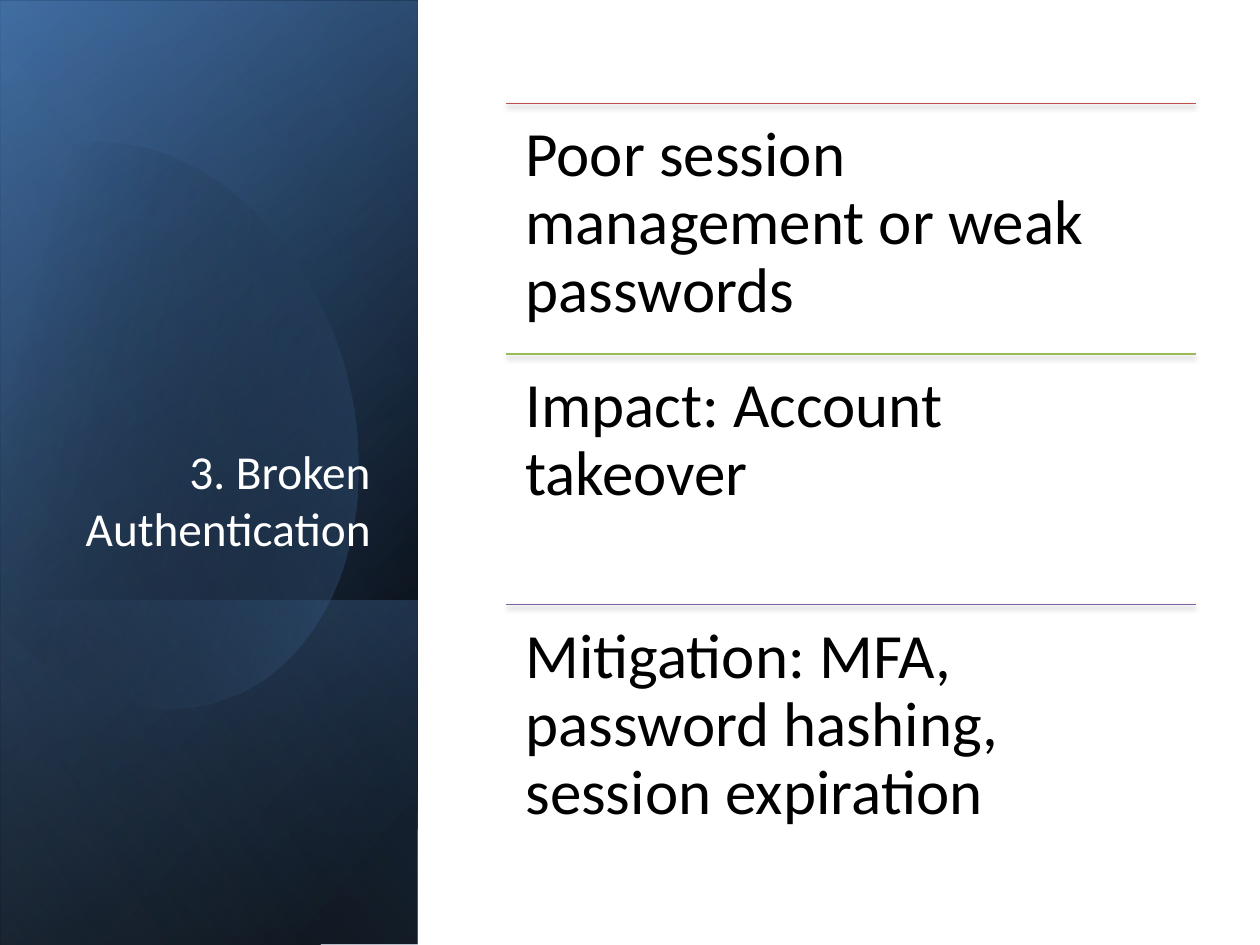
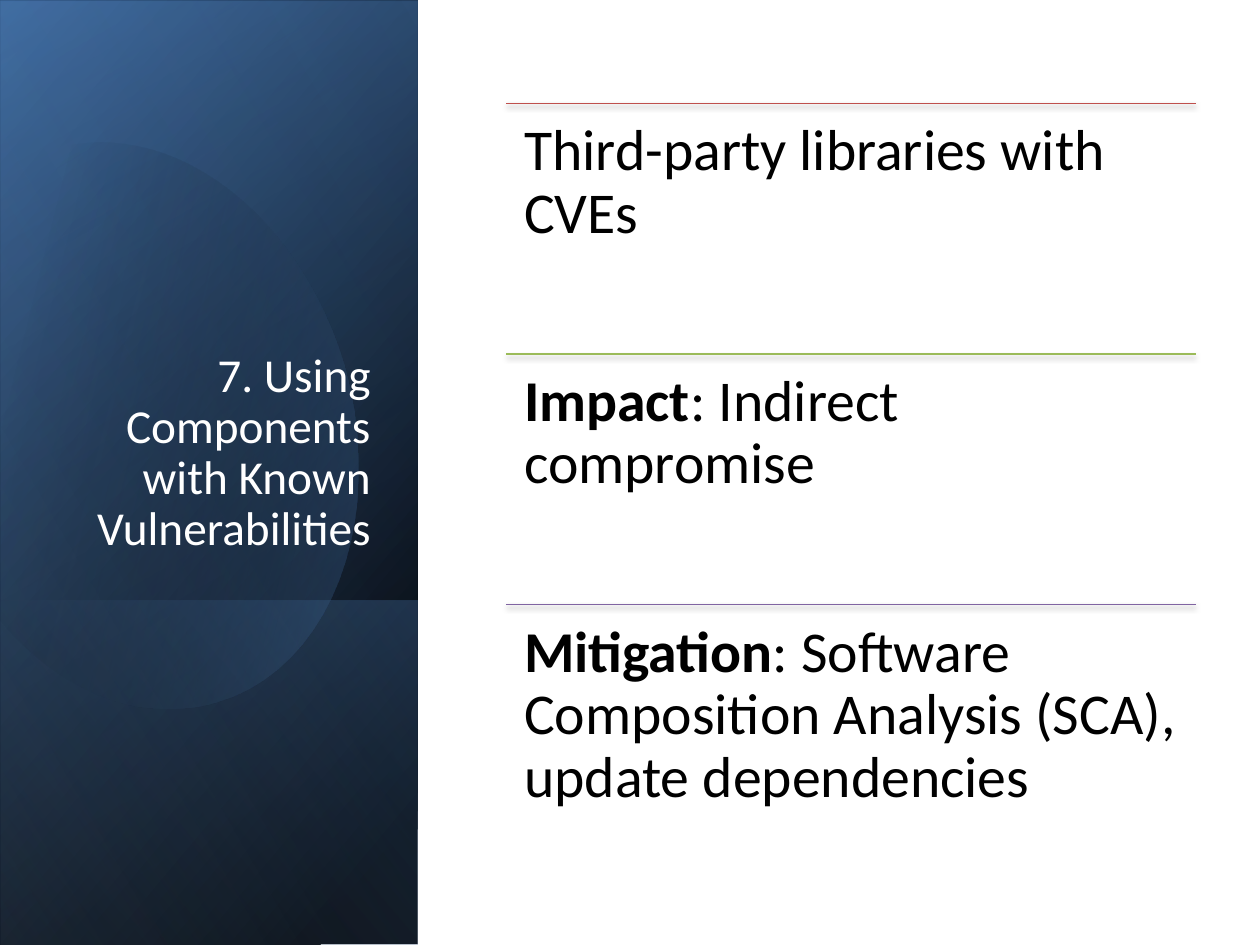
from math import cos, radians, sin

from lxml import etree
from pptx import Presentation
from pptx.dml.color import RGBColor
from pptx.enum.shapes import MSO_CONNECTOR, MSO_SHAPE
from pptx.enum.text import MSO_ANCHOR, PP_ALIGN
from pptx.oxml.ns import qn
from pptx.util import Inches, Pt

RECT = MSO_SHAPE.RECTANGLE
STRAIGHT = MSO_CONNECTOR.STRAIGHT
TOP, BOTTOM = MSO_ANCHOR.TOP, MSO_ANCHOR.BOTTOM
LEFT, RIGHT = PP_ALIGN.LEFT, PP_ALIGN.RIGHT

FONT = "Calibri"
BLACK = RGBColor(0x00, 0x00, 0x00)
WHITE = RGBColor(0xFF, 0xFF, 0xFF)
NAVY = RGBColor(0x36, 0x60, 0x92)
BLUE = RGBColor(0x4F, 0x81, 0xBD)
PALE_BLUE = RGBColor(0x93, 0xB3, 0xD7)
RED = RGBColor(0xBF, 0x50, 0x4D)
GREEN = RGBColor(0x9B, 0xBB, 0x59)
PURPLE = RGBColor(0x80, 0x64, 0xA2)
RULE_COLORS = (RED, GREEN, PURPLE)

ROW_LEFT, ROW_TOP, ROW_WIDTH, ROW_HEIGHT = 4.02, 0.82, 5.47, 1.99

# Side panel layers: box, gradient stops (position %, colour, opacity %), angle
PANEL_BASE = ((-2.09, 2.09, 7.5, 3.31),
              ((0, BLACK, 100), (8, BLACK, 100), (100, NAVY, 100)), 50)
PANEL_GLOW = ((-2.09, 2.11, 7.5, 3.31),
              ((0, BLACK, 0), (99, BLUE, 46), (100, BLUE, 46)), 30)
PANEL_FOOT = ((0.29, 4.48, 2.74, 3.31),
              ((0, BLUE, 29), (2, BLUE, 29), (100, BLACK, 30)), 130)
PANEL_SHEEN = ((-2.09, 2.09, 7.5, 3.31),
               ((0, BLACK, 0), (99, PALE_BLUE, 11), (100, PALE_BLUE, 11)), 120)

# Oval outline as it lies on the slide: each part is one end point or a curve
OVAL_START = (0.96, 1.14)
OVAL_PARTS = (
    ((1.71, 1.22), (2.44, 1.92), (2.73, 2.9)),
    ((3.07, 4.12), (2.62, 5.31), (1.71, 5.57)),
    ((1.14, 5.74), (0.53, 5.5), (0.07, 5)),
    ((-0.03, 4.88),),
    ((-0.25, 1.66),),
    ((-0.15, 1.54),),
    ((0.02, 1.37), (0.22, 1.25), (0.45, 1.18)),
    ((0.62, 1.13), (0.79, 1.12), (0.96, 1.14)),
)
OVAL_CENTER = (1.19, 3.345)
OVAL_ROTATION = 343.9
OVAL_STOPS = ((0, BLACK, 0), (29, BLACK, 0), (100, BLUE, 43))
CURVE_STEPS = 20


def set_gradient(sp, stops, angle):
    sp.fill.background()
    spPr = sp._element.spPr
    grad = etree.Element(qn("a:gradFill"), rotWithShape="1")
    gs_list = etree.SubElement(grad, qn("a:gsLst"))
    for pos, color, opacity in stops:
        gs = etree.SubElement(gs_list, qn("a:gs"), pos=str(pos * 1000))
        clr = etree.SubElement(gs, qn("a:srgbClr"), val=str(color))
        if opacity < 100:
            etree.SubElement(clr, qn("a:alpha"), val=str(opacity * 1000))
    etree.SubElement(grad, qn("a:lin"), ang=str(angle * 60000), scaled="0")
    spPr.replace(spPr.find(qn("a:noFill")), grad)
    sp.line.fill.background()
    sp.shadow.inherit = False


def add_panel_layer(slide, box, stops, angle):
    """Add a gradient rectangle, mirrored and turned upright."""
    sp = slide.shapes.add_shape(RECT, *map(Inches, box))
    sp.rotation = 90
    sp._element.spPr.find(qn("a:xfrm")).set("flipH", "1")
    set_gradient(sp, stops, angle)


def curve_points(p0, p1, p2, p3):
    for step in range(1, CURVE_STEPS + 1):
        t = step / CURVE_STEPS
        u = 1 - t
        yield tuple(u**3 * a + 3 * u * u * t * b + 3 * u * t * t * c + t**3 * d
                    for a, b, c, d in zip(p0, p1, p2, p3))


def unrotate(point):
    """Turn an oval point back, so that the shape's rotation restores it."""
    cx, cy = OVAL_CENTER
    dx, dy = point[0] - cx, point[1] - cy
    a = radians(-OVAL_ROTATION)
    return (Inches(cx + dx * cos(a) - dy * sin(a)),
            Inches(cy + dx * sin(a) + dy * cos(a)))


def add_oval(slide):
    points = [OVAL_START]
    for part in OVAL_PARTS:
        points.extend(part if len(part) == 1 else curve_points(points[-1], *part))
    start, *rest = map(unrotate, points)
    builder = slide.shapes.build_freeform(*start)
    builder.add_line_segments(rest, close=True)
    sp = builder.convert_to_shape()
    sp.rotation = OVAL_ROTATION
    set_gradient(sp, OVAL_STOPS, 30)


def add_text(slide, text, box, *, size, color=BLACK, lead="", align=LEFT,
             anchor=TOP, margins=(0.1, 0.05), spacing=None):
    """Add a text box; lead is a bold opening before the text."""
    tf = slide.shapes.add_textbox(*map(Inches, box)).text_frame
    tf.word_wrap = True
    tf.vertical_anchor = anchor
    tf.margin_left = tf.margin_right = Inches(margins[0])
    tf.margin_top = tf.margin_bottom = Inches(margins[1])
    p = tf.paragraphs[0]
    p.alignment = align
    p.line_spacing = spacing
    for part, bold in ((lead, True), (text, False)):
        if part:
            r = p.add_run()
            r.text = part
            r.font.name = FONT
            r.font.size = Pt(size)
            r.font.bold = bold
            r.font.color.rgb = color


def add_rule(slide, top, color):
    """Add a horizontal line with a soft shadow below it."""
    y = Inches(top)
    line = slide.shapes.add_connector(
        STRAIGHT, Inches(ROW_LEFT), y, Inches(ROW_LEFT + ROW_WIDTH), y)
    line.line.color.rgb = color
    line.line.width = Pt(0.75)
    effects = etree.SubElement(line._element.spPr, qn("a:effectLst"))
    shadow = etree.SubElement(
        effects, qn("a:outerShdw"), blurRad=str(Pt(3.1)), dist=str(Pt(1.8)),
        dir="5400000", rotWithShape="0")
    clr = etree.SubElement(shadow, qn("a:srgbClr"), val=str(BLACK))
    etree.SubElement(clr, qn("a:alpha"), val="35000")


def add_rows(slide, rows, size, margin):
    for i, ((lead, text), color) in enumerate(zip(rows, RULE_COLORS)):
        top = ROW_TOP + i * ROW_HEIGHT
        add_rule(slide, top, color)
        add_text(slide, text, (ROW_LEFT, top, ROW_WIDTH, ROW_HEIGHT), lead=lead,
                 size=size, margins=(margin, margin), spacing=0.9)


def add_topic_slide(prs, title, rows, *, size, margin, title_spacing=None):
    slide = prs.slides.add_slide(prs.slide_layouts[6])
    for layer in (PANEL_BASE, PANEL_GLOW, PANEL_FOOT):
        add_panel_layer(slide, *layer)
    add_oval(slide)
    add_panel_layer(slide, *PANEL_SHEEN)
    add_text(slide, title, (0.48, 1.84, 2.56, 2.62), size=27, color=WHITE,
             align=RIGHT, anchor=BOTTOM, spacing=title_spacing)
    add_rows(slide, rows, size, margin)


def main():
    prs = Presentation()
    prs.slide_width, prs.slide_height = Inches(10), Inches(7.5)
    add_topic_slide(prs, "3. Broken Authentication", (
        ("", "Poor session management or weak passwords"),
        ("", "Impact: Account takeover"),
        ("", "Mitigation: MFA, password hashing, session expiration"),
    ), size=36, margin=0.15)
    add_topic_slide(prs, "7. Using Components with Known Vulnerabilities", (
        ("", "Third-party libraries with CVEs"),
        ("Impact", ": Indirect compromise"),
        ("Mitigation", ": Software Composition Analysis (SCA), update dependencies"),
    ), size=33, margin=0.14, title_spacing=0.9)
    prs.save("out.pptx")


if __name__ == "__main__":
    main()
